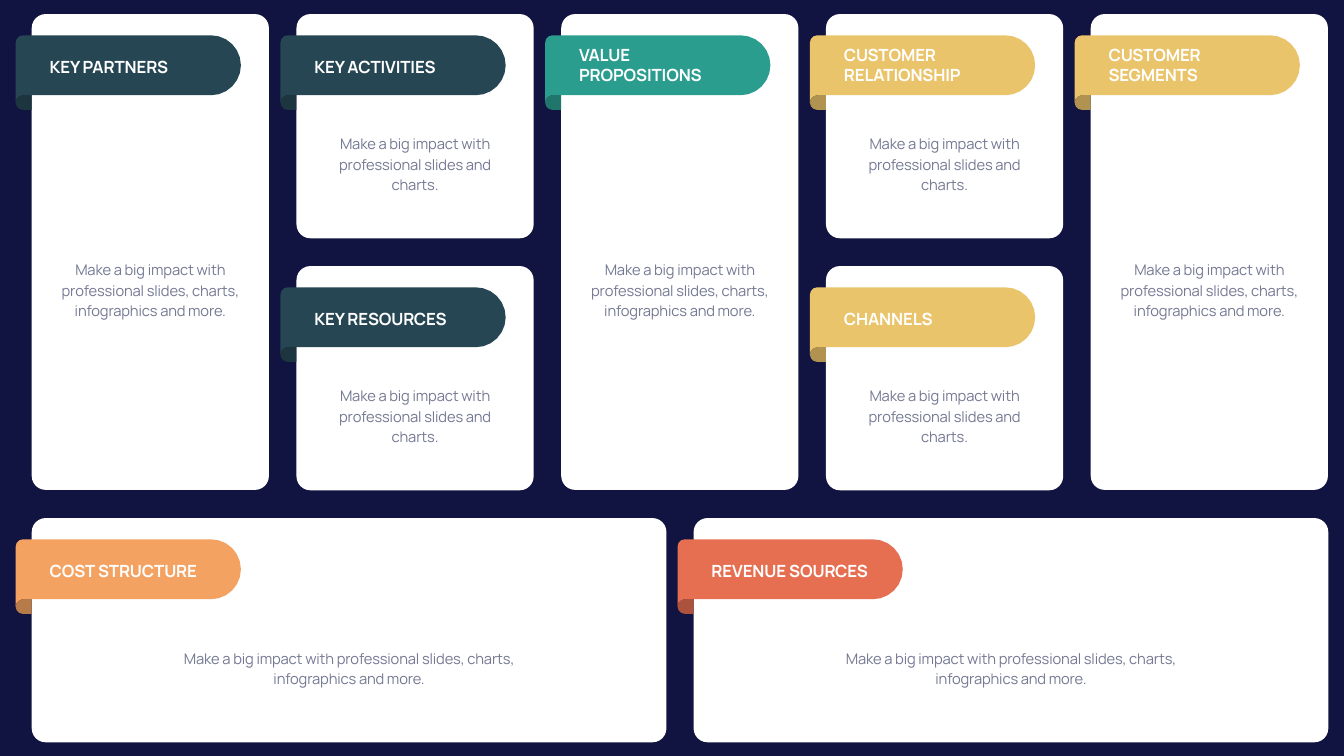
from dataclasses import dataclass
from math import cos, radians, sin

from pptx import Presentation
from pptx.dml.color import RGBColor
from pptx.enum.shapes import MSO_SHAPE
from pptx.enum.text import MSO_ANCHOR, MSO_AUTO_SIZE, PP_ALIGN
from pptx.util import Cm, Pt

ROUNDED = MSO_SHAPE.ROUNDED_RECTANGLE
TOP, MIDDLE = MSO_ANCHOR.TOP, MSO_ANCHOR.MIDDLE
LEFT, CENTER = PP_ALIGN.LEFT, PP_ALIGN.CENTER
FIT_SHAPE = MSO_AUTO_SIZE.SHAPE_TO_FIT_TEXT

# All lengths below are centimetres
MARGIN_X, MARGIN_Y = 1.6, 0.71
COL_STEP, ROW_STEP, WIDE_STEP = 13.34, 12.7, 33.35
CARD_W, WIDE_W = 11.95, 31.98
SHORT_H, TALL_H = 11.3, 23.98
CARD_RADIUS = 0.7
TAG_W, TAG_H, TAG_DROP = 11.35, 3.02, 1.07
CURL_W, CURL_R = 0.81, 0.37
BODY_TOP = 3.71

FONT = "Manrope"
NAVY, WHITE, GREY = "111340", "FFFFFF", "747993"
# Ribbon and curl colours
SLATE = ("264653", "1C353F")
TEAL = ("2A9D8F", "20766B")
GOLD = ("EAC46A", "B09350")
ORANGE = ("F4A261", "B77A49")
CORAL = ("E76F51", "AD533D")

LONG_TEXT = "Make a big impact with professional slides, charts, infographics and more."
SHORT_TEXT = "Make a big impact with professional slides and charts."


@dataclass
class Card:
    title: str
    colors: tuple[str, str]
    x: float
    y: float
    w: float
    h: float
    text: str
    title_lines: int = 1


def column_card(title, colors, col, row=0, tall=False, title_lines=1) -> Card:
    return Card(title, colors, MARGIN_X + col * COL_STEP, MARGIN_Y + row * ROW_STEP,
                CARD_W, TALL_H if tall else SHORT_H,
                LONG_TEXT if tall else SHORT_TEXT, title_lines)


def wide_card(title, colors, col) -> Card:
    return Card(title, colors, MARGIN_X + col * WIDE_STEP, MARGIN_Y + 2 * ROW_STEP,
                WIDE_W, SHORT_H, LONG_TEXT)


CARDS = [
    column_card("KEY PARTNERS", SLATE, 0, tall=True),
    column_card("KEY ACTIVITIES", SLATE, 1),
    column_card("KEY RESOURCES", SLATE, 1, row=1),
    column_card("VALUE\nPROPOSITIONS", TEAL, 2, tall=True, title_lines=2),
    column_card("CUSTOMER RELATIONSHIP", GOLD, 3, title_lines=2),
    column_card("CHANNELS", GOLD, 3, row=1),
    column_card("CUSTOMER\nSEGMENTS", GOLD, 4, tall=True, title_lines=2),
    wide_card("COST STRUCTURE", ORANGE, 0),
    wide_card("REVENUE SOURCES", CORAL, 1),
]


def paint(fill, color: str) -> None:
    fill.solid()
    fill.fore_color.rgb = RGBColor.from_string(color)


def finish(shape, color: str) -> None:
    paint(shape.fill, color)
    shape.line.fill.background()
    shape.shadow.inherit = False


def arc(cx: float, cy: float, r: float, start: int, end: int, step: int = 30) -> list:
    """Points along an arc; angles in degrees, clockwise from the right."""
    count = abs(end - start) // step
    angles = [radians(start + (end - start) * i / count) for i in range(count + 1)]
    return [(cx + r * cos(a), cy + r * sin(a)) for a in angles]


def add_outline(shapes, points: list, color: str) -> None:
    emu = [(Cm(x), Cm(y)) for x, y in points]
    builder = shapes.build_freeform(*emu[0])
    builder.add_line_segments(emu[1:], close=True)
    finish(builder.convert_to_shape(), color)


def add_ribbon(s, x: float, y: float, colors: tuple[str, str]) -> None:
    """Tag with a round right end and a curl folded behind the card's edge."""
    shapes = s.shapes.add_group_shape().shapes
    end_r, bottom = TAG_H / 2, y + TAG_H
    curl_x, curl_y = x + CURL_R, bottom + CURL_R
    tag = (arc(x + TAG_W - end_r, y + end_r, end_r, -90, 90, step=15)
           + arc(curl_x, curl_y, CURL_R, 270, 180)
           + arc(curl_x, y + CURL_R, CURL_R, 180, 270))
    curl = (arc(curl_x, curl_y, CURL_R, 270, 90)
            + [(x + CURL_W, bottom + 2 * CURL_R), (x + CURL_W, bottom)])
    add_outline(shapes, tag, colors[0])
    add_outline(shapes, curl, colors[1])


def add_text(s, text: str, x: float, y: float, w: float, h: float, size: int, color: str,
             align=LEFT, anchor=TOP, bold=False, spacing=None) -> None:
    tf = s.shapes.add_textbox(Cm(x), Cm(y), Cm(w), Cm(h)).text_frame
    tf.word_wrap = True
    tf.auto_size = FIT_SHAPE
    tf.vertical_anchor = anchor
    tf.text = text
    for p in tf.paragraphs:
        p.alignment = align
        p.line_spacing = spacing
        p.font.name, p.font.size, p.font.bold = FONT, Pt(size), bold
        p.font.color.rgb = RGBColor.from_string(color)
        for r in p.runs:
            r._r.get_or_add_rPr().set("spc", "-20")  # slightly tight letters


def add_card(s, card: Card) -> None:
    # White panel
    panel = s.shapes.add_shape(ROUNDED, Cm(card.x), Cm(card.y), Cm(card.w), Cm(card.h))
    panel.adjustments[0] = CARD_RADIUS / min(card.w, card.h)
    finish(panel, WHITE)

    # Ribbon and title
    add_ribbon(s, card.x - CURL_W, card.y + TAG_DROP, card.colors)
    title_dy, title_h = (2.01, 1.27) if card.title_lines == 1 else (1.4, 2.31)
    wide = card.w == WIDE_W
    add_text(s, card.title, card.x + 0.65, card.y + title_dy, 9.02 if wide else 8.46,
             title_h, 24, WHITE, bold=True)

    # Body, centred in the space under the ribbon
    w, h = (19.74, 2.29) if wide else (10.36, 3.33)
    middle = card.y + (BODY_TOP + card.h) / 2
    add_text(s, card.text, card.x + (card.w - w) / 2, middle - h / 2, w, h, 21, GREY,
             align=CENTER, anchor=MIDDLE, spacing=Pt(29))


def main() -> None:
    prs = Presentation()
    prs.slide_width, prs.slide_height = Cm(67.72), Cm(38.1)
    s = prs.slides.add_slide(prs.slide_layouts[6])
    paint(s.background.fill, NAVY)
    for card in CARDS:
        add_card(s, card)
    prs.save("out.pptx")


if __name__ == "__main__":
    main()
